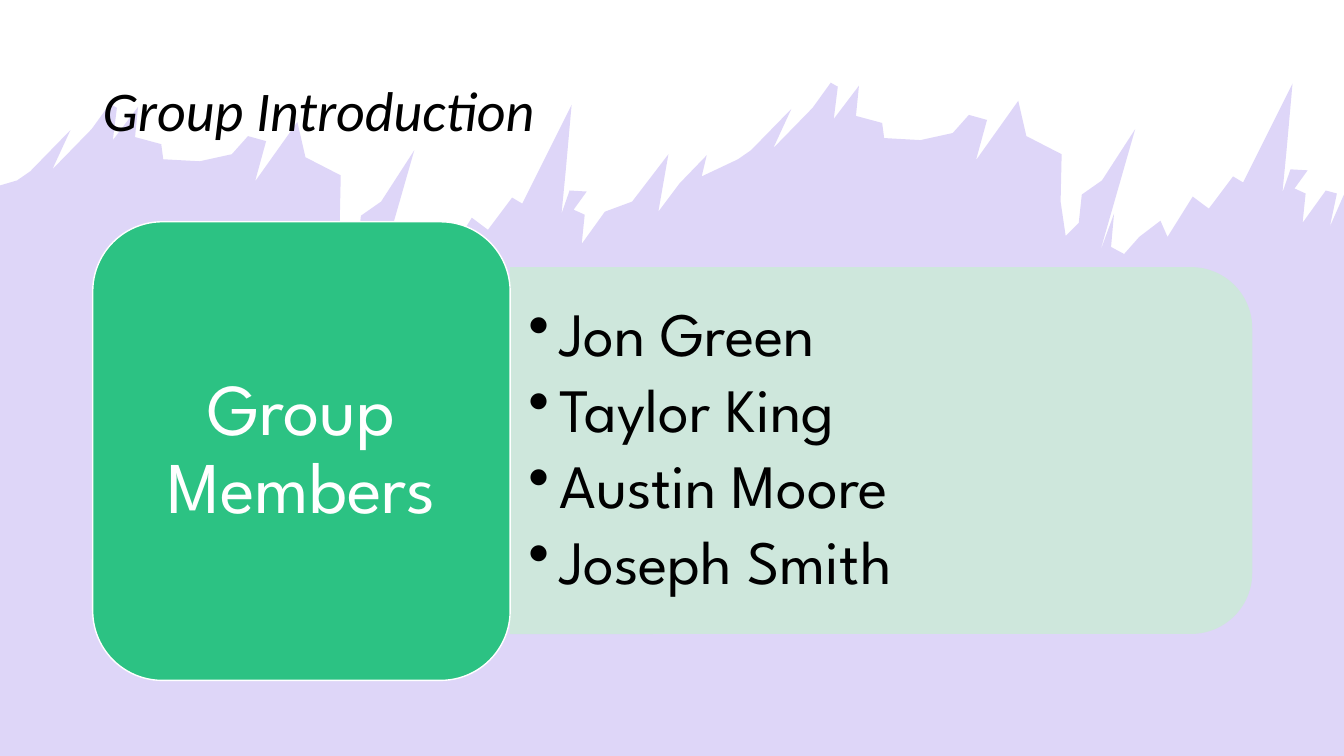
from pptx import Presentation
from pptx.dml.color import RGBColor
from pptx.enum.shapes import MSO_SHAPE as Preset
from pptx.enum.text import MSO_ANCHOR as Anchor, PP_ALIGN as Align
from pptx.oxml.ns import qn
from pptx.util import Pt
from lxml.etree import SubElement

PX = 9144
SLIDE_W, SLIDE_H = 1333, 750

TITLE = "Group Introduction"
CARD = "Group Members"
MEMBERS = ["Jon Green", "Taylor King", "Austin Moore", "Joseph Smith"]

VIOLET, GREEN, MINT, WHITE, BLACK = "5E34DE", "2CC283", "CDE9D9", "FFFFFF", "000000"

TITLE_BOX = (92, 40, 1150, 145)
CARD_BOX = (92, 220, 414, 455)
PANEL_BOX = (506, 265, 736, 364)
MEMBERS_BOX = (506, 283, 718, 328)

TITLE_FONT = {"name": "Calibri", "size": Pt(40), "italic": True}
MEMBER_FONT = {"name": "League Spartan", "size": Pt(44)}
CARD_FONT = {"name": "League Spartan", "size": Pt(52)}
MEMBER_GAP = {"line_spacing": 0.9, "space_after": Pt(7)}
BULLET_INDENT = 31

SPLASH_SHIFT = (-715, 21)
SPLASH = [
    (745, 149), (785, 108), (767, 147), (806, 107), (824, 82), (831, 86),
    (827, 118), (852, 85), (849, 115), (875, 122), (877, 137), (913, 139),
    (945, 132), (961, 114), (979, 119), (968, 159), (1010, 100), (1018, 135),
    (1053, 153), (1052, 200), (1057, 234), (1070, 221), (1073, 193),
    (1093, 179), (1126, 128), (1091, 250), (1105, 212), (1102, 245),
    (1115, 252), (1130, 235), (1151, 219), (1158, 235), (1183, 195),
    (1199, 207), (1223, 175), (1233, 181), (1282, 83), (1276, 150),
    (1272, 191), (1280, 168), (1297, 169), (1284, 187), (1295, 192),
    (1292, 221), (1315, 189),
]
BETWEEN = [
    (627, 200), (663, 153), (653, 210), (674, 182), (701, 154),
    (696, 175), (732, 158),
]
RIGHT_EDGE = [(1326, 192), (1319, 225), (1333, 193), (SLIDE_W, SLIDE_H), (0, SLIDE_H)]


def color(hex_code):
    return RGBColor.from_string(hex_code)


def emu(lengths):
    return [round(length * PX) for length in lengths]


def apply(target, values):
    for key, value in values.items():
        setattr(target, key, value)


def paint(shape, fill, alpha=100, line=None):
    shape.shadow.inherit = False
    shape.fill.solid()
    shape.fill.fore_color.rgb = color(fill)
    if alpha < 100:
        tint = shape.fill._xPr.find(".//" + qn("a:srgbClr"))
        SubElement(tint, qn("a:alpha"), val=str(alpha * 1000))
    if line:
        shape.line.color.rgb = color(line)
        shape.line.width = Pt(1)
    else:
        shape.line.fill.background()


def write(shape, lines, font, ink, align=Align.LEFT, spacing=None, margins=(10, 5), bullet=None):
    frame = shape.text_frame
    side, edge = emu(margins)
    apply(frame, {"word_wrap": True, "vertical_anchor": Anchor.MIDDLE,
                  "margin_left": side, "margin_right": side,
                  "margin_top": edge, "margin_bottom": edge})
    for i, line in enumerate(lines):
        paragraph = frame.add_paragraph() if i else frame.paragraphs[0]
        apply(paragraph, {"alignment": align, **(spacing or {"line_spacing": 0.9})})
        run = paragraph.add_run()
        run.text = line
        apply(run.font, font)
        run.font.color.rgb = color(ink)
        if bullet:
            props = paragraph._p.get_or_add_pPr()
            indent = BULLET_INDENT * PX
            props.set("marL", str(indent))
            props.set("indent", str(-indent))
            SubElement(props, qn("a:buChar"), char=bullet)


def main():
    deck = Presentation()
    deck.slide_width, deck.slide_height = emu((SLIDE_W, SLIDE_H))
    shapes = deck.slides.add_slide(deck.slide_layouts[6]).shapes

    dx, dy = SPLASH_SHIFT
    left_splash = [(x + dx, y + dy) for x, y in SPLASH]
    outline = [(0, 184), (17, 179), *left_splash, *BETWEEN, *SPLASH, *RIGHT_EDGE]
    first, *rest = [emu(point) for point in outline]
    builder = shapes.build_freeform(*first, scale=1.0)
    builder.add_line_segments(rest, close=True)
    paint(builder.convert_to_shape(), VIOLET, 20)

    write(shapes.add_textbox(*emu(TITLE_BOX)), [TITLE], TITLE_FONT, BLACK)

    left, top, width, height = PANEL_BOX
    turn = (width - height) / 2
    panel = shapes.add_shape(Preset.ROUND_2_SAME_RECTANGLE,
                             *emu((left + turn, top - turn, height, width)))
    panel.rotation = 90
    paint(panel, MINT, 90)
    write(shapes.add_textbox(*emu(MEMBERS_BOX)), MEMBERS, MEMBER_FONT, BLACK,
          spacing=MEMBER_GAP, margins=(18, 9), bullet="•")

    card = shapes.add_shape(Preset.ROUNDED_RECTANGLE, *emu(CARD_BOX))
    paint(card, GREEN, line=WHITE)
    write(card, [CARD], CARD_FONT, WHITE, Align.CENTER, margins=(22, 11))

    deck.save("out.pptx")


if __name__ == "__main__":
    main()
